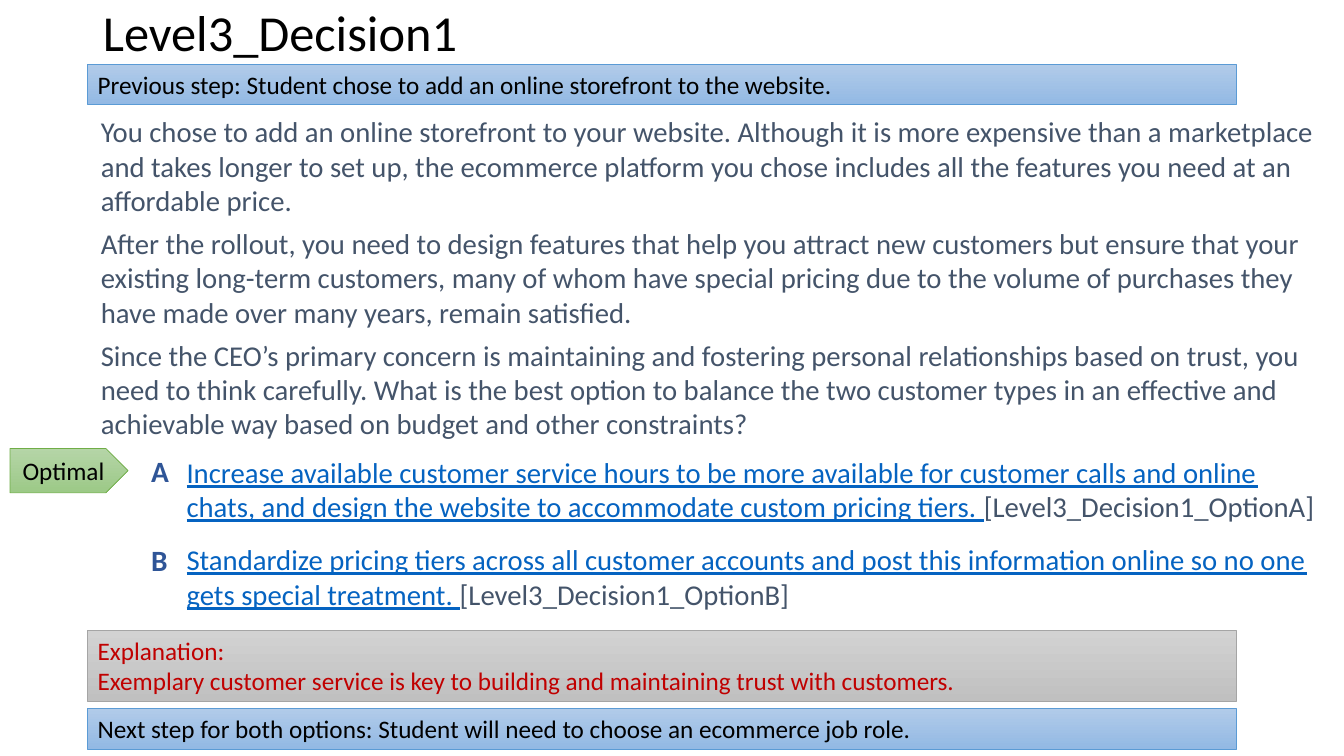
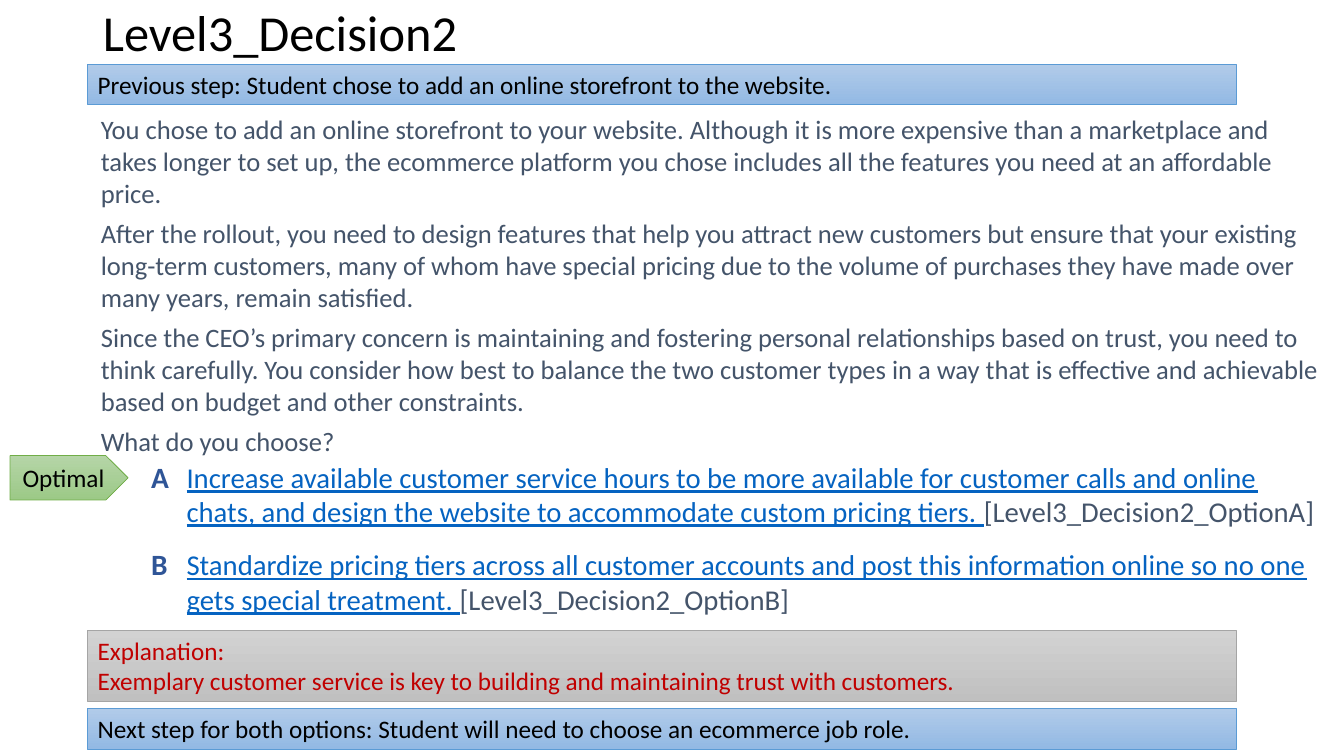
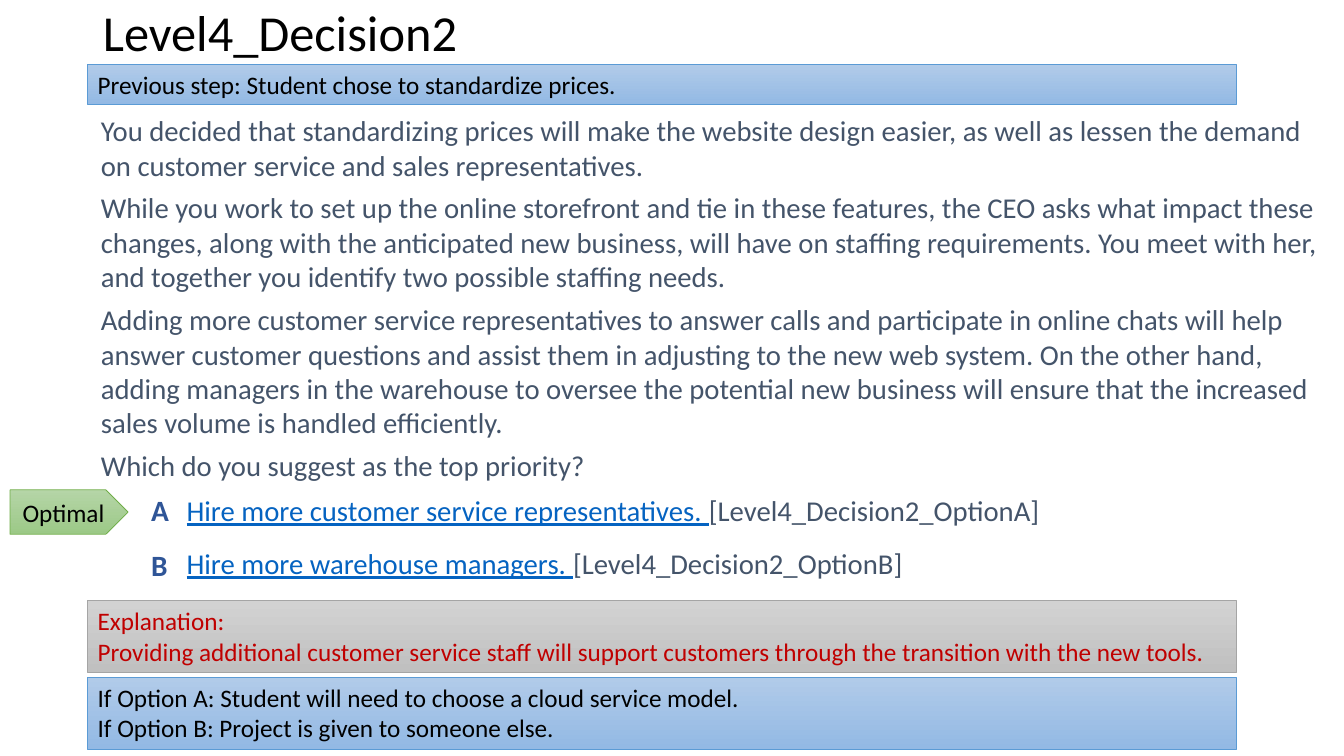
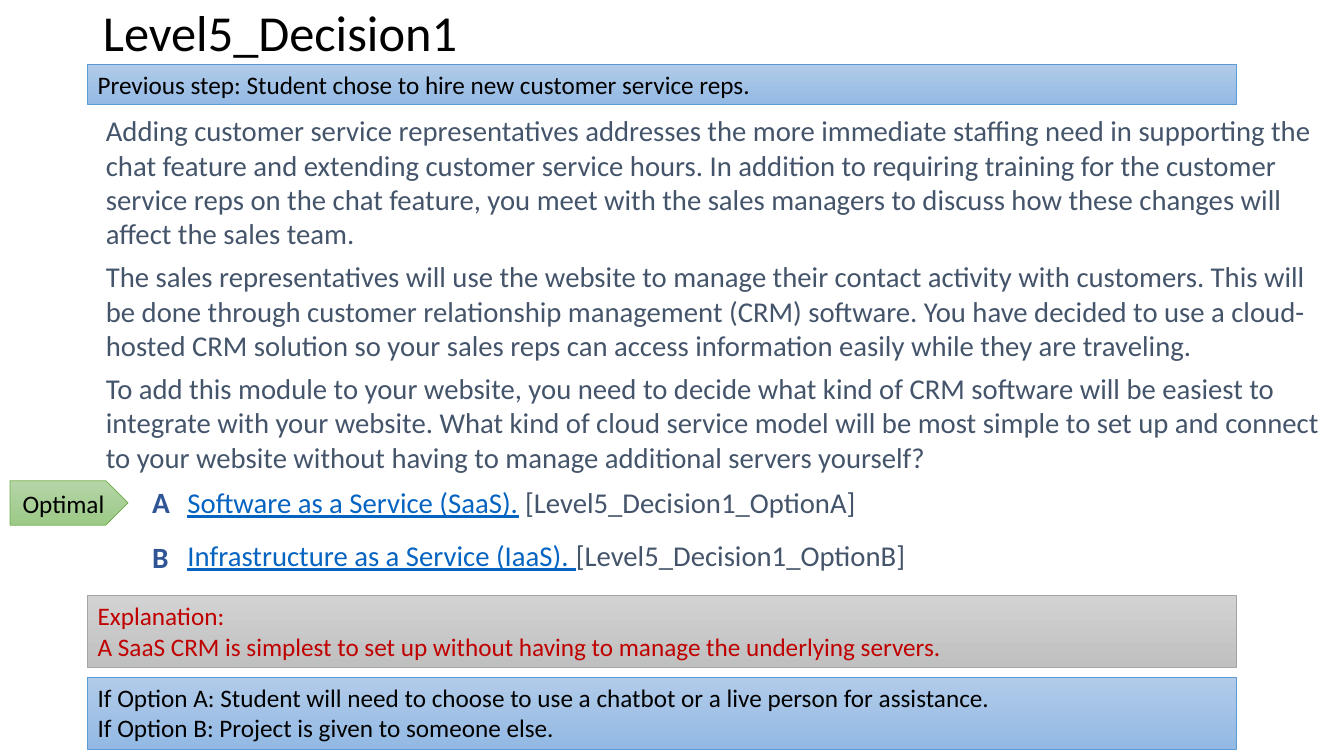
from pptx import Presentation
from pptx.dml.color import RGBColor
from pptx.enum.shapes import MSO_SHAPE
from pptx.enum.text import MSO_ANCHOR, MSO_AUTO_SIZE, PP_ALIGN
from pptx.oxml.ns import qn
from pptx.util import Pt

PX = 9144  # 100 px to the inch
FONT = "Calibri"
RECTANGLE, PLATE = MSO_SHAPE.RECTANGLE, MSO_SHAPE.PENTAGON
TOP, MIDDLE = MSO_ANCHOR.TOP, MSO_ANCHOR.MIDDLE
LEFT, CENTER = PP_ALIGN.LEFT, PP_ALIGN.CENTER

COLORS = {"black": "000000", "body": "44546A", "link": "0563C1",
          "letter": "2F5597", "red": "C00000"}
BANDS = {  # gradient top, gradient bottom, outline
    "blue": ("B1CBE9", "93B9E4", "5B9BD5"),
    "gray": ("D2D2D2", "C0C0C0", "A5A5A5"),
    "green": ("B5D5A7", "9CC987", "70AD47"),
}
WIDTH, HEIGHT = 1333, 750
BAND_LEFT, BAND_WIDTH, BAND_BOTTOM = 87, 1139, 743
BAND_HEIGHTS = {1: 40, 2: 71}
WIDE_INSETS, NORMAL_INSETS = (13, 7), (10, 5)

STOREFRONT = "Previous step: Student chose to add an online storefront to the website."
INTRO = [
    "You chose to add an online storefront to your website. Although it is more expensive than a marketplace and takes longer to set up, the ecommerce platform you chose includes all the features you need at an affordable price.",
    "After the rollout, you need to design features that help you attract new customers but ensure that your existing long-term customers, many of whom have special pricing due to the volume of purchases they have made over many years, remain satisfied.",
]
CONCERN = "Since the CEO’s primary concern is maintaining and fostering personal relationships based on trust, you need to think carefully. "
PRICING_OPTIONS = [
    "Increase available customer service hours to be more available for customer calls and online chats, and design the website to accommodate custom pricing tiers. ",
    "Standardize pricing tiers across all customer accounts and post this information online so no one gets special treatment. ",
]
TRUST = "Exemplary customer service is key to building and maintaining trust with customers."
JOB_ROLE = ["Next step for both options: Student will need to choose an ecommerce job role."]
REASSIGNED = "If Option B: Project is given to someone else."

DECISIONS = [
    {"title": "Level3_Decision1", "previous": STOREFRONT,
     "story": INTRO + [CONCERN + "What is the best option to balance the two customer types in an effective and achievable way based on budget and other constraints?"],
     "story_box": (87, 106, 344), "story_size": 20.5,
     "options": PRICING_OPTIONS, "options_box": (172, 444, 183),
     "letter_b_top": 531, "optimal_top": 445,
     "explanation": TRUST, "explanation_top": 625, "next": JOB_ROLE},
    {"title": "Level3_Decision2", "previous": STOREFRONT,
     "story": INTRO + [CONCERN + "You consider how best to balance the two customer types in a way that is effective and achievable based on budget and other constraints.",
                       "What do you choose?"],
     "story_box": (87, 105, 379), "story_size": 19,
     "options": PRICING_OPTIONS, "options_box": (172, 449, 174),
     "letter_b_top": 535, "optimal_top": 452,
     "explanation": TRUST, "explanation_top": 625, "next": JOB_ROLE},
    {"title": "Level4_Decision2",
     "previous": "Previous step: Student chose to standardize prices.",
     "story": [
         "You decided that standardizing prices will make the website design easier, as well as lessen the demand on customer service and sales representatives.",
         "While you work to set up the online storefront and tie in these features, the CEO asks what impact these changes, along with the anticipated new business, will have on staffing requirements. You meet with her, and together you identify two possible staffing needs.",
         "Adding more customer service representatives to answer calls and participate in online chats will help answer customer questions and assist them in adjusting to the new web system. On the other hand, adding managers in the warehouse to oversee the potential new business will ensure that the increased sales volume is handled efficiently.",
         "Which do you suggest as the top priority?"],
     "story_box": (87, 105, 379), "story_size": 20.5,
     "options": ["Hire more customer service representatives. ",
                 "Hire more warehouse managers. "],
     "options_box": (172, 482, 113), "letter_b_top": 536, "optimal_top": 486,
     "explanation": "Providing additional customer service staff will support customers through the transition with the new tools.",
     "explanation_top": 596,
     "next": ["If Option A: Student will need to choose a cloud service model.", REASSIGNED]},
    {"title": "Level5_Decision1",
     "previous": "Previous step: Student chose to hire new customer service reps.",
     "story": [
         "Adding customer service representatives addresses the more immediate staffing need in supporting the chat feature and extending customer service hours. In addition to requiring training for the customer service reps on the chat feature, you meet with the sales managers to discuss how these changes will affect the sales team.",
         "The sales representatives will use the website to manage their contact activity with customers. This will be done through customer relationship management (CRM) software. You have decided to use a cloud-hosted CRM solution so your sales reps can access information easily while they are traveling.",
         "To add this module to your website, you need to decide what kind of CRM software will be easiest to integrate with your website. What kind of cloud service model will be most simple to set up and connect to your website without having to manage additional servers yourself?"],
     "story_box": (92, 105, 390), "story_size": 20.5,
     "options": ["Software as a Service (SaaS).", "Infrastructure as a Service (IaaS). "],
     "options_box": (173, 474, 106), "letter_b_top": 528, "optimal_top": 477,
     "explanation": "A SaaS CRM is simplest to set up without having to manage the underlying servers.",
     "explanation_top": 591,
     "next": ["If Option A: Student will need to choose to use a chatbot or a live person for assistance.", REASSIGNED]},
]


def place(shape, left, top, width, height):
    shape.left, shape.top = left * PX, top * PX
    shape.width, shape.height = width * PX, height * PX


def write(shape, paragraphs, size=18, color="black", bold=False, align=LEFT,
          anchor=TOP, insets=NORMAL_INSETS, before=0, after=0, spacing=1.0):
    """Fill a shape; a paragraph is a string or a list of (text, color, underline)."""
    frame = shape.text_frame
    frame.word_wrap, frame.auto_size = True, MSO_AUTO_SIZE.NONE
    frame.vertical_anchor = anchor
    frame.margin_left = frame.margin_right = insets[0] * PX
    frame.margin_top = frame.margin_bottom = insets[1] * PX
    for index, spans in enumerate(paragraphs):
        para = frame.add_paragraph() if index else frame.paragraphs[0]
        para.alignment, para.line_spacing = align, spacing
        para.space_before = Pt(before if index else 0)
        para.space_after = Pt(after)
        if isinstance(spans, str):
            spans = [(spans, color, False)]
        for text, span_color, underline in spans:
            span = para.add_run()
            span.text = text
            font = span.font
            font.name, font.size, font.bold = FONT, Pt(size), bold
            font.underline = underline
            font.color.rgb = RGBColor.from_string(COLORS[span_color])


def remove_bullets(shape):
    for para in shape.text_frame.paragraphs:
        properties = para._p.get_or_add_pPr()
        properties.set("marL", "0")
        properties.set("indent", "0")
        properties.append(properties.makeelement(qn("a:buNone"), {}))


def add_text(slide, bounds, paragraphs, **text_format):
    box = slide.shapes.add_textbox(*(value * PX for value in bounds))
    write(box, paragraphs, insets=WIDE_INSETS, **text_format)


def add_band(slide, kind, bounds, style, paragraphs, **text_format):
    band = slide.shapes.add_shape(kind, *(value * PX for value in bounds))
    band.shadow.inherit = False
    *stops, outline = BANDS[style]
    band.fill.gradient()
    band.fill.gradient_angle = 270
    for stop, position, color in zip(band.fill.gradient_stops, (0, 1), stops):
        stop.position = position
        stop.color.rgb = RGBColor.from_string(color)
    band.line.color.rgb = RGBColor.from_string(outline)
    band.line.width = Pt(0.5)
    write(band, paragraphs, **text_format)


def add_decision(deck, decision):
    slide = deck.slides.add_slide(deck.slide_layouts[1])
    title, story = slide.placeholders
    place(title, 92, 0, 1150, 70)
    write(title, [decision["title"]], size=36, anchor=MIDDLE, spacing=0.9)

    left, top, height = decision["story_box"]
    place(story, left, top, WIDTH - left, height)
    write(story, decision["story"], size=decision["story_size"], color="body",
          insets=WIDE_INSETS, after=6)
    remove_bullets(story)

    left, top, height = decision["options_box"]
    options = []
    for letter, text in zip("AB", decision["options"]):
        gap = "" if text.endswith(" ") else " "
        tag = f"{gap}[{decision['title']}_Option{letter}]"
        options.append([(text, "link", True), (tag, "body", False)])
    add_text(slide, (left, top, WIDTH - left, height), options, size=20.5, before=13.4)
    for letter, letter_top in (("A", top - 1), ("B", decision["letter_b_top"])):
        add_text(slide, (left - 35, letter_top, 70, 44), [letter],
                 size=21, color="letter", bold=True)

    def add_wide_band(band_top, style, lines, **text_format):
        bounds = (BAND_LEFT, band_top, BAND_WIDTH, BAND_HEIGHTS[len(lines)])
        add_band(slide, RECTANGLE, bounds, style, lines, **text_format)

    add_wide_band(decision["explanation_top"], "gray",
                  ["Explanation:", decision["explanation"]], color="red")
    add_band(slide, PLATE, (10, decision["optimal_top"], 117, 44), "green",
             ["Optimal"], align=CENTER, anchor=MIDDLE)
    next_lines = decision["next"]
    add_wide_band(BAND_BOTTOM - BAND_HEIGHTS[len(next_lines)], "blue", next_lines)
    add_wide_band(64, "blue", [decision["previous"]])


def main():
    deck = Presentation()
    deck.slide_width, deck.slide_height = WIDTH * PX, HEIGHT * PX
    for decision in DECISIONS:
        add_decision(deck, decision)
    deck.save("out.pptx")


if __name__ == "__main__":
    main()
